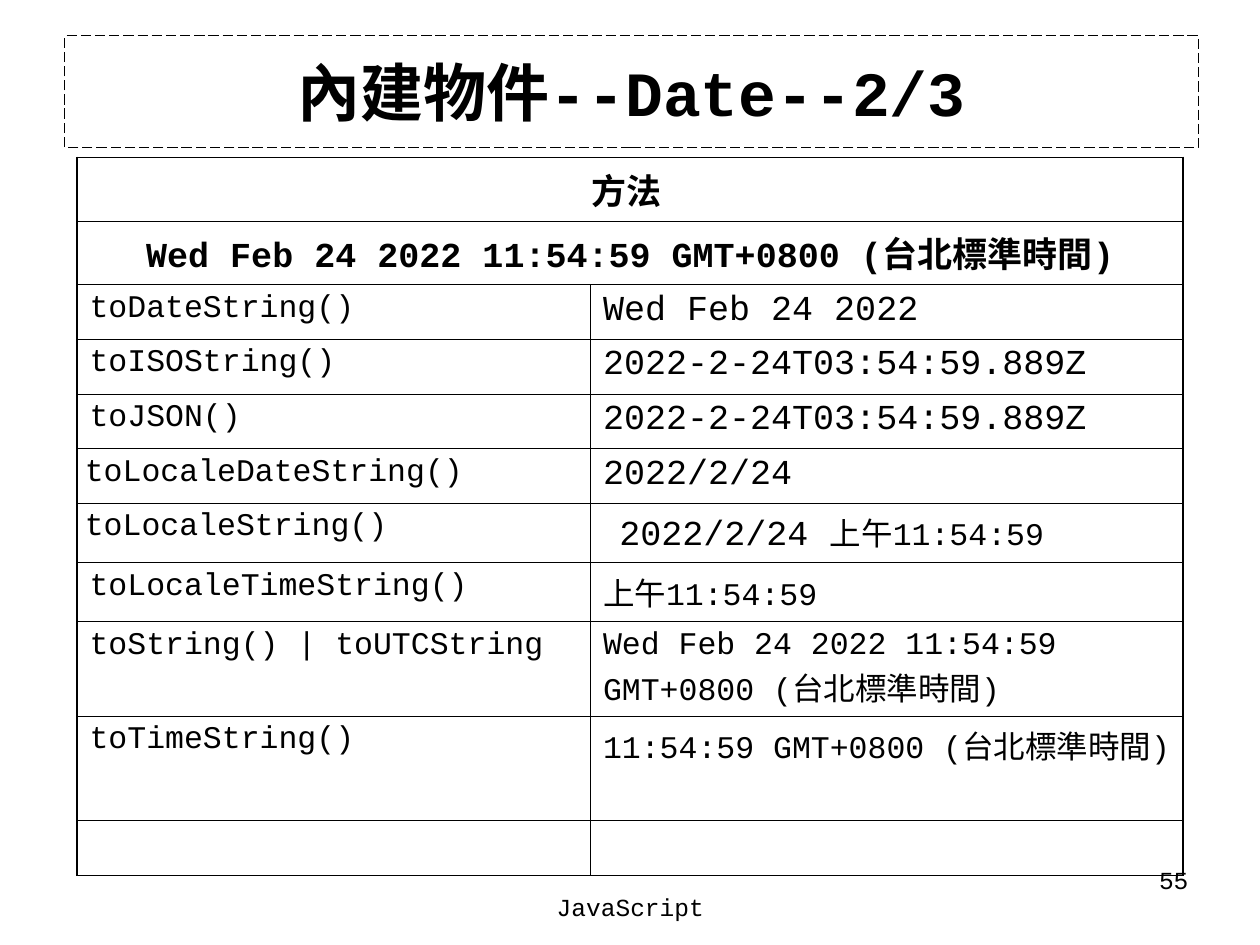
from dataclasses import dataclass

from lxml.etree import SubElement
from pptx import Presentation
from pptx.dml.color import RGBColor
from pptx.enum.dml import MSO_LINE
from pptx.enum.text import MSO_ANCHOR, MSO_AUTO_SIZE, PP_ALIGN
from pptx.oxml.ns import qn
from pptx.util import Pt


@dataclass(frozen=True)
class Theme:
    font: str = "Courier New"
    ink: str = "000000"
    title: float = 36
    large: float = 20
    body: float = 18
    footer: float = 14
    outer_rule: float = 1.08
    inner_rule: float = 0.45
    margin: float = 7.2
    narrow_margin: float = 4.5


THEME = Theme()
COLUMN_WIDTHS = (293.4, 338.8)
ROW_HEIGHTS = (31.2,) * 6 + (31.5, 28.8, 50.4, 50.4, 31.2)

HEADINGS = ("方法 ", "Wed Feb 24 2022 11:54:59 GMT+0800 (台北標準時間)")

# Method, its left margin, result parts with sizes, result margin
WIDE, NARROW = THEME.margin, THEME.narrow_margin
METHODS = (
    ("toDateString()", WIDE, [("Wed Feb 24 2022", THEME.large)], WIDE),
    ("toISOString()", WIDE, [("2022-2-24T03:54:59.889Z", THEME.large)], WIDE),
    ("toJSON()", WIDE, [("2022-2-24T03:54:59.889Z", THEME.large)], WIDE),
    ("toLocaleDateString()", NARROW, [("2022/2/24", THEME.large)], WIDE),
    ("toLocaleString()", NARROW,
     [(" 2022/2/24 ", THEME.large), ("上午11:54:59", THEME.body)], NARROW),
    ("toLocaleTimeString()", WIDE, [("上午11:54:59", THEME.body)], WIDE),
    ("toString() | toUTCString", WIDE,
     [("Wed Feb 24 2022 11:54:59 GMT+0800 (台北標準時間)", THEME.body)], WIDE),
    ("toTimeString()", WIDE,
     [("11:54:59 GMT+0800 (台北標準時間)", THEME.body)], WIDE),
)


def format_run(run, size, bold=False):
    run.font.name = THEME.font
    run.font.size = Pt(size)
    run.font.bold = bold
    run.font.color.rgb = RGBColor.from_string(THEME.ink)


def add_title(slide, text):
    title = slide.shapes.title
    title.left, title.top, title.width, title.height = map(Pt, (36.9, 20.4, 648, 64))
    title.line.color.rgb = RGBColor.from_string(THEME.ink)
    title.line.width = Pt(0.75)
    title.line.dash_style = MSO_LINE.LONG_DASH
    frame = title.text_frame
    frame.text = text
    frame.auto_size = MSO_AUTO_SIZE.NONE
    frame.vertical_anchor = MSO_ANCHOR.MIDDLE
    frame.paragraphs[0].alignment = PP_ALIGN.CENTER
    format_run(frame.paragraphs[0].runs[0], THEME.title, bold=True)


def add_footer(slide, text, bounds, alignment):
    frame = slide.shapes.add_textbox(*map(Pt, bounds)).text_frame
    frame.word_wrap = True
    frame.text = text
    frame.paragraphs[0].alignment = alignment
    format_run(frame.paragraphs[0].runs[0], THEME.footer)


def fill_cell(cell, parts, margin=THEME.margin, bold=False):
    cell.margin_left = cell.margin_right = Pt(margin)
    paragraph = cell.text_frame.paragraphs[0]
    if bold:
        paragraph.alignment = PP_ALIGN.CENTER
    for text, size in parts:
        run = paragraph.add_run()
        run.text = text
        format_run(run, size, bold)


def rule_cell(cell, left, right, top, bottom):
    properties = cell._tc.get_or_add_tcPr()
    for side, width in zip("LRTB", (left, right, top, bottom)):
        rule = SubElement(properties, qn(f"a:ln{side}"), w=str(Pt(width)))
        fill = SubElement(rule, qn("a:solidFill"))
        SubElement(fill, qn("a:srgbClr"), val=THEME.ink)
    cell.fill.background()


def add_method_table(slide):
    table = slide.shapes.add_table(
        len(ROW_HEIGHTS), len(COLUMN_WIDTHS), Pt(44), Pt(90),
        Pt(sum(COLUMN_WIDTHS)), Pt(sum(ROW_HEIGHTS))).table
    table.first_row = table.horz_banding = False
    for column, width in zip(table.columns, COLUMN_WIDTHS):
        column.width = Pt(width)
    for row, height in zip(table.rows, ROW_HEIGHTS):
        row.height = Pt(height)

    # Heavy outer rules at the top and sides, hairlines elsewhere
    outer, inner = THEME.outer_rule, THEME.inner_rule
    for row_index in range(len(ROW_HEIGHTS)):
        heading = row_index < len(HEADINGS)
        top = outer if row_index == 0 else inner
        rule_cell(table.cell(row_index, 0), outer, outer if heading else inner, top, inner)
        rule_cell(table.cell(row_index, 1), inner, outer, top, inner)

    # Headings across both columns
    for row_index, heading in enumerate(HEADINGS):
        heading_cell = table.cell(row_index, 0)
        heading_cell.merge(table.cell(row_index, 1))
        fill_cell(heading_cell, [(heading, THEME.large)], bold=True)

    # Methods and their results
    for row_index, (method, method_margin, result, result_margin) in enumerate(
            METHODS, start=len(HEADINGS)):
        fill_cell(table.cell(row_index, 0), [(method, THEME.body)], method_margin)
        fill_cell(table.cell(row_index, 1), result, result_margin)


def main():
    presentation = Presentation()
    presentation.slide_width, presentation.slide_height = Pt(720), Pt(540)
    slide = presentation.slides.add_slide(presentation.slide_layouts[5])

    add_method_table(slide)
    add_title(slide, "內建物件--Date--2/3")

    # Page number and course name
    add_footer(slide, "55", (518.4, 491, 167.8, 37.4), PP_ALIGN.RIGHT)
    add_footer(slide, "JavaScript", (246.2, 506.2, 228.2, 36), PP_ALIGN.CENTER)

    presentation.save("out.pptx")


if __name__ == "__main__":
    main()
